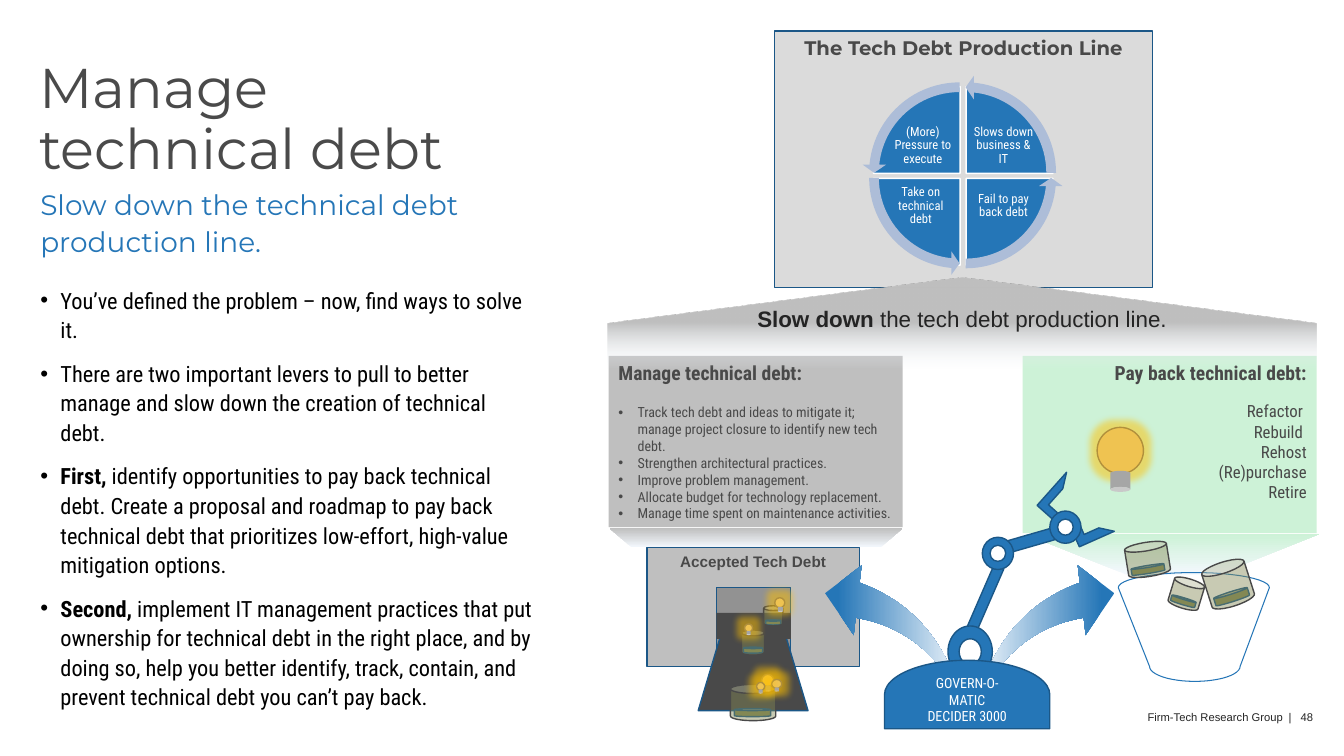
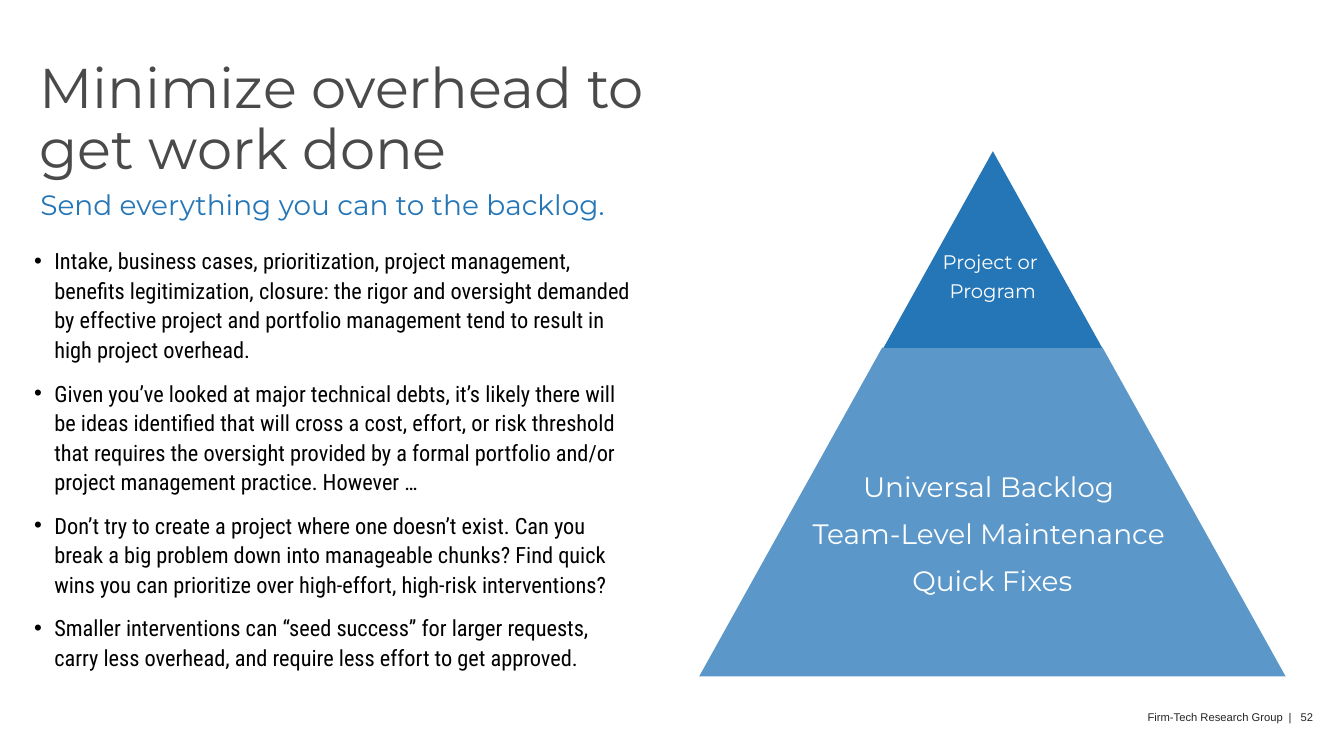
import math

import lxml.etree
import pptx
import pptx.dml.color
import pptx.enum.shapes
import pptx.enum.text
import pptx.oxml.ns
import pptx.util

Inches = pptx.util.Inches
Pt = pptx.util.Pt
qn = pptx.oxml.ns.qn
SHAPE = pptx.enum.shapes.MSO_SHAPE
ALIGN = pptx.enum.text.PP_ALIGN
ANCHOR = pptx.enum.text.MSO_ANCHOR

BLUE, NAVY, WHITE, BLACK = "2576B7", "1B5787", "FFFFFF", "000000"
DARK, TITLE_GREY, INK = "494949", "4A4A4A", "242424"
GREY, PANEL, GREEN, PALE = "BFBFBF", "DBDBDB", "CDF2D7", "F3F8FD"
HEADING, BODY, PLAIN = "Montserrat", "Roboto Condensed", "Arial"


def rgb(value):
    return pptx.dml.color.RGBColor.from_string(value)


def set_alpha(color_element, percent):
    lxml.etree.SubElement(color_element, qn("a:alpha"), val=str(percent * 1000))


def paint(shape, fill=None, line=None, width=1, alpha=None):
    shape.shadow.inherit = False
    if fill:
        shape.fill.solid()
        shape.fill.fore_color.rgb = rgb(fill)
        if alpha is not None:
            set_alpha(shape._element.spPr.find(".//" + qn("a:srgbClr")), alpha)
    else:
        shape.fill.background()
    if line:
        shape.line.color.rgb = rgb(line)
        shape.line.width = Pt(width)
    else:
        shape.line.fill.background()


def add_shape(shapes, kind, box, fill=None, line=None, alpha=None, rotation=0,
              adjustments=(), flip=None):
    shape = shapes.add_shape(kind, *map(Inches, box))
    for index, value in enumerate(adjustments):
        shape.adjustments[index] = value
    paint(shape, fill, line, alpha=alpha)
    shape.rotation = rotation
    if flip:
        shape._element.spPr.get_or_add_xfrm().set(flip, "1")
    return shape


def add_gradient(shape, stops, angle, end_alpha=None):
    shape.fill.gradient()
    shape.fill.gradient_angle = 360 - angle
    for stop, (position, color) in zip(shape.fill.gradient_stops, stops):
        stop.position = position
        stop.color.rgb = rgb(color)
    if end_alpha is not None:
        colors = shape._element.spPr.findall(".//" + qn("a:srgbClr"))
        set_alpha(colors[-1], end_alpha)


def add_glow(shape):
    effects = shape._element.spPr.find(qn("a:effectLst"))
    glow = lxml.etree.SubElement(effects, qn("a:glow"), rad=str(Inches(0.13)))
    color = lxml.etree.SubElement(glow, qn("a:srgbClr"), val="FFC000")
    set_alpha(color, 50)


def set_frame(shape, inset=None, anchor=ANCHOR.TOP, vertical=False):
    frame = shape.text_frame
    frame.word_wrap = True
    frame.auto_size = pptx.enum.text.MSO_AUTO_SIZE.NONE
    frame.vertical_anchor = anchor
    if inset is not None:
        frame.margin_left = frame.margin_right = Inches(inset)
        frame.margin_top = frame.margin_bottom = Inches(inset)
    if vertical:
        shape._element.txBody.bodyPr.set("vert", "vert")
    return frame


def add_bullet(paragraph, indent):
    properties = paragraph._p.get_or_add_pPr()
    properties.set("marL", str(Inches(indent)))
    properties.set("indent", str(-Inches(indent)))
    lxml.etree.SubElement(properties, qn("a:buFont"), typeface="Arial")
    lxml.etree.SubElement(properties, qn("a:buChar"), char="•")


def write(frame, lines, size, font, color, bold=False, align=ALIGN.LEFT,
          before=0, after=0, spacing=1.0, bullet=None, extend=False):
    for index, line in enumerate(lines):
        first = index == 0 and not extend
        paragraph = frame.paragraphs[0] if first else frame.add_paragraph()
        if bullet:
            add_bullet(paragraph, bullet)
        paragraph.alignment = align
        paragraph.line_spacing = spacing
        paragraph.space_before = Pt(0 if first else before)
        paragraph.space_after = Pt(after)
        runs = [(line, bold)] if isinstance(line, str) else line
        for text, strong in runs:
            run = paragraph.add_run()
            run.text = text
            run.font.size = Pt(size)
            run.font.name = font
            run.font.bold = strong
            run.font.color.rgb = rgb(color)


def add_text(shapes, box, lines, size, font, color, inset=0, anchor=ANCHOR.TOP, **style):
    shape = shapes.add_textbox(*map(Inches, box))
    write(set_frame(shape, inset, anchor), lines, size, font, color, **style)
    return shape


def add_footer(slide, number):
    shape = add_text(slide.shapes, (11.39, 7.05, 1.8, 0.13),
                     [f"Firm-Tech Research Group\t|\t{number}"], 8, PLAIN, INK)
    properties = shape.text_frame.paragraphs[0]._p.get_or_add_pPr()
    tabs = lxml.etree.SubElement(properties, qn("a:tabLst"))
    for position in (1.4, 1.52):
        lxml.etree.SubElement(tabs, qn("a:tab"), pos=str(Inches(position)), algn="l")


def start_slide(presentation, title, title_width, subtitle, subtitle_width,
                bullets, bullet_box, number):
    slide = presentation.slides.add_slide(presentation.slide_layouts[5])
    placeholder = slide.shapes.title
    placeholder.left, placeholder.top = Inches(0.39), Inches(0.6)
    placeholder.width, placeholder.height = Inches(title_width), Inches(1.24)
    write(set_frame(placeholder, 0), [title], 40, HEADING, TITLE_GREY, spacing=0.9)
    add_text(slide.shapes, (0.4, 1.83, subtitle_width, 0.73), [subtitle],
             20, HEADING, BLUE, spacing=1.1)
    add_text(slide.shapes, bullet_box, bullets, 16, BODY, BLACK,
             before=10, spacing=1.1, bullet=0.2)
    add_footer(slide, number)
    return slide


def add_group(slide):
    return slide.shapes.add_group_shape().shapes


def add_jar(shapes, liquid, glass, rotation=0):
    add_shape(shapes, SHAPE.CAN, liquid, "838854", NAVY, rotation=rotation)
    add_shape(shapes, SHAPE.CAN, glass, "838854", DARK, alpha=44, rotation=rotation)


def add_lamp(shapes, bulb, base):
    add_glow(add_shape(shapes, SHAPE.OVAL, bulb, "EFC351", "B1903C"))
    add_shape(shapes, SHAPE.CAN, base, "A6A6A6", rotation=180)


def add_joint(shapes, left, top, width, height):
    add_shape(shapes, SHAPE.OVAL, (left, top, width, height), BLUE, NAVY)
    hole = (left + width / 4, top + height / 4, width / 2, height / 2)
    add_shape(shapes, SHAPE.OVAL, hole, WHITE, NAVY)


def add_production_line(slide):
    shapes = add_group(slide)
    panel = add_shape(shapes, SHAPE.RECTANGLE, (7.69, 0.31, 3.75, 2.54), PANEL, NAVY)
    write(set_frame(panel), ["The Tech Debt Production Line"], 14, HEADING, DARK,
          bold=True, align=ALIGN.CENTER)
    quarters = [
        ("Slows down business & IT", (8.73, 0.86), (9.64, 1.21), 162, 0),
        ("Fail to pay back debt", (8.73, 0.91), (9.64, 1.81), 0, 54),
        ("Take on technical debt", (8.67, 0.91), (8.82, 1.81), 54, 108),
        ("(More) Pressure to execute", (8.67, 0.86), (8.84, 1.21), 108, 162),
    ]
    for label, corner, label_corner, start, end in quarters:
        add_shape(shapes, SHAPE.PIE, (*corner, 1.72, 1.72), BLUE, WHITE,
                  adjustments=(start, end))
        add_text(shapes, (*label_corner, 0.64, 0.47), [label], 9, BODY, WHITE,
                 inset=0.01, anchor=ANCHOR.MIDDLE, align=ALIGN.CENTER, spacing=0.9)
    for label, (left, top), label_corner, start, end in quarters:
        add_shape(shapes, SHAPE.LEFT_CIRCULAR_ARROW,
                  (left - 0.11, top - 0.11, 1.93, 1.93), "ADBDD8",
                  adjustments=(0.05, 3.28, start + 3.28, end, 0.06))


def add_pay_back_panel(slide):
    panel = add_shape(slide.shapes, SHAPE.RECTANGLE, (10.15, 3.53, 2.92, 1.76), GREEN)
    frame = set_frame(panel)
    write(frame, ["Pay back technical debt:"], 14, BODY, DARK, bold=True, align=ALIGN.RIGHT)
    options = ["Refactor ", "Rebuild ", "Rehost", "(Re)purchase", "Retire"]
    write(frame, options, 12, BODY, DARK, align=ALIGN.RIGHT, extend=True)
    frame.paragraphs[1].space_before = Pt(12)
    add_lamp(add_group(slide), (10.89, 4.24, 0.46, 0.46), (11.02, 4.67, 0.2, 0.21))


def arc(center_x, center_y, radius_x, radius_y, start, end):
    for step in range(25):
        angle = math.radians(start + (end - start) * step / 24)
        yield (Inches(center_x + radius_x * math.cos(angle)),
               Inches(center_y + radius_y * math.sin(angle)))


def add_bucket(slide):
    outline = [*arc(11.85, 5.83, 0.75, 0.15, 180, 360), *arc(11.86, 6.61, 0.45, 0.15, 0, 180)]
    builder = slide.shapes.build_freeform(*outline[0], scale=1.0)
    builder.add_line_segments(outline[1:], close=True)
    paint(builder.convert_to_shape(), line=BLUE, width=0.75)
    for liquid, glass, rotation in [
        ((11.62, 5.93, 0.25, 0.07), (11.62, 5.74, 0.31, 0.3), 16.9),
        ((12.05, 5.87, 0.35, 0.1), (11.97, 5.57, 0.44, 0.45), 342.3),
        ((11.23, 5.61, 0.33, 0.08), (11.18, 5.38, 0.42, 0.34), 350.8),
    ]:
        add_jar(add_group(slide), liquid, glass, rotation)


def add_manage_panel(slide):
    panel = add_shape(slide.shapes, SHAPE.RECTANGLE, (6.04, 3.53, 2.92, 1.7), GREY)
    frame = set_frame(panel)
    write(frame, ["Manage technical debt:"], 14, BODY, DARK, bold=True)
    write(frame, [
        "Track tech debt and ideas to mitigate it; manage project closure to identify new tech debt.",
        "Strengthen architectural practices.",
        "Improve problem management.",
        "Allocate budget for technology replacement.",
        "Manage time spent on maintenance activities.",
    ], 10, BODY, DARK, bullet=0.19, extend=True)
    frame.paragraphs[1].space_before = Pt(14)


def add_accepted_debt(slide):
    shapes = add_group(slide)
    panel = add_shape(shapes, SHAPE.RECTANGLE, (6.42, 5.43, 2.11, 1.18), GREY, NAVY)
    write(set_frame(panel), ["Accepted Tech Debt"], 10.9, PLAIN, DARK,
          bold=True, align=ALIGN.CENTER)
    add_shape(shapes, SHAPE.RECTANGLE, (7.11, 5.83, 0.74, 0.63), "929292", NAVY)
    add_shape(shapes, SHAPE.FLOWCHART_MANUAL_OPERATION, (6.93, 6.32, 1.09, 0.73),
              DARK, NAVY, rotation=180)
    add_jar(shapes, (7.29, 7.03, 0.36, 0.08), (7.25, 6.79, 0.45, 0.36))
    add_shape(shapes, SHAPE.RECTANGLE, (7.11, 6.08, 0.74, 0.26), DARK)
    add_jar(shapes, (7.6, 6.15, 0.15, 0.05), (7.58, 6.01, 0.19, 0.2))
    add_jar(shapes, (7.38, 6.42, 0.19, 0.06), (7.36, 6.25, 0.23, 0.25))
    for bulb, base in [
        ((7.56, 6.69, 0.12, 0.12), (7.6, 6.8, 0.05, 0.06)),
        ((7.66, 6.74, 0.1, 0.09), (7.69, 6.82, 0.04, 0.04)),
        ((7.51, 6.77, 0.08, 0.08), (7.53, 6.84, 0.04, 0.04)),
        ((7.69, 5.93, 0.1, 0.1), (7.72, 6.02, 0.05, 0.05)),
        ((7.39, 6.19, 0.08, 0.08), (7.41, 6.26, 0.04, 0.04)),
    ]:
        add_lamp(shapes, bulb, base)


def add_decider(slide):
    arrows = add_group(slide)
    for left, flip in ((9.69, None), (8.19, "flipH")):
        arrow = add_shape(arrows, SHAPE.SWOOSH_ARROW, (left, 5.61, 1.37, 1.39),
                          adjustments=(0.25, 0.25), flip=flip)
        add_gradient(arrow, [(0.09, BLUE), (1, PALE)], 180)
    robot = add_group(slide)
    for box, rotation in (((9.71, 5.6, 0.14, 0.67), 20.5), ((10.19, 5.06, 0.16, 0.58), 70)):
        add_shape(robot, SHAPE.PARALLELOGRAM, box, BLUE, NAVY, rotation=rotation)
    add_joint(robot, 9.41, 6.21, 0.44, 0.51)
    add_joint(robot, 9.75, 5.33, 0.31, 0.32)
    add_shape(robot, SHAPE.HALF_FRAME, (10.69, 5.03, 0.28, 0.38), BLUE, NAVY, rotation=246)
    add_shape(robot, SHAPE.HALF_FRAME, (10.41, 4.71, 0.24, 0.44), BLUE, NAVY,
              rotation=41.7, flip="flipV")
    add_joint(robot, 10.42, 5.07, 0.31, 0.32)
    base = add_shape(robot, SHAPE.FLOWCHART_DELAY, (9.26, 6.07, 0.68, 1.64), BLUE, NAVY,
                     rotation=270)
    write(set_frame(base, anchor=ANCHOR.MIDDLE, vertical=True),
          ["GOVERN-O-MATIC", "DECIDER 3000"], 10, BODY, WHITE, align=ALIGN.CENTER)


def add_fading_edge(slide, box, adjustment, color):
    edge = add_shape(slide.shapes, SHAPE.TRAPEZOID, box, rotation=180, adjustments=(adjustment,))
    add_gradient(edge, [(0, PALE), (1, color)], 90)


def add_roof(slide):
    roof = add_shape(slide.shapes, SHAPE.PENTAGON, (9.1, -0.31, 0.9, 7.03), rotation=270)
    add_gradient(roof, [(0.49, GREY), (1, PALE)], 180, end_alpha=0)
    write(set_frame(roof, vertical=True),
          [[("Slow down ", True), ("the tech debt production line.", False)]],
          16, PLAIN, INK, align=ALIGN.CENTER)


def build_debt_slide(presentation):
    slide = start_slide(
        presentation, "Manage technical debt", 4.31,
        "Slow down the technical debt production line.", 4.5, [
            "You’ve defined the problem – now, find ways to solve it.",
            "There are two important levers to pull to better manage and slow down the creation of technical debt.",
            [("First,", True), (" identify opportunities to pay back technical debt. Create a proposal and roadmap to pay back technical debt that prioritizes low-effort, high-value mitigation options.", False)],
            [("Second,", True), (" implement IT management practices that put ownership for technical debt in the right place, and by doing so, help you better identify, track, contain, and prevent technical debt you can’t pay back.", False)],
        ], (0.4, 2.82, 4.92, 4.08), 48)
    add_fading_edge(slide, (10.18, 5.3, 2.91, 0.4), 2.5, GREEN)
    add_production_line(slide)
    add_pay_back_panel(slide)
    add_bucket(slide)
    add_fading_edge(slide, (6.05, 5.24, 2.91, 0.19), 1.16, GREY)
    add_manage_panel(slide)
    add_accepted_debt(slide)
    add_decider(slide)
    add_roof(slide)


def build_overhead_slide(presentation):
    slide = start_slide(
        presentation, "Minimize overhead to get work done", 6.55,
        "Send everything you can to the backlog.", 6.11, [
            "Intake, business cases, prioritization, project management, benefits legitimization, closure: the rigor and oversight demanded by effective project and portfolio management tend to result in high project overhead.",
            "Given you’ve looked at major technical debts, it’s likely there will be ideas identified that will cross a cost, effort, or risk threshold that requires the oversight provided by a formal portfolio and/or project management practice. However …",
            "Don’t try to create a project where one doesn’t exist. Can you break a big problem down into manageable chunks? Find quick wins you can prioritize over high-effort, high-risk interventions?",
            "Smaller interventions can “seed success” for larger requests, carry less overhead, and require less effort to get approved.",
        ], (0.34, 2.43, 5.94, 3.93), 52)
    pyramid = add_group(slide)
    for box, alpha, text_box, lines, size, after in [
        ((8.77, 1.5, 2.17, 1.95), None, (8.77, 2.06, 2.17, 1.39),
         ["Project or ", "Program"], 14, 5),
        ((6.94, 3.45, 5.82, 3.26), 75, (7.96, 3.92, 3.78, 2.79),
         ["Universal Backlog ", "Team-Level Maintenance ", "Quick Fixes"], 20, 12),
    ]:
        add_shape(pyramid, SHAPE.TRAPEZOID, box, BLUE, alpha=alpha, adjustments=(0.557,))
        add_text(pyramid, text_box, lines, size, HEADING, WHITE, inset=0.03,
                 anchor=ANCHOR.MIDDLE, align=ALIGN.CENTER, after=after, spacing=0.9)


def main():
    presentation = pptx.Presentation()
    presentation.slide_width = Inches(13.34)
    presentation.slide_height = Inches(7.5)
    build_debt_slide(presentation)
    build_overhead_slide(presentation)
    presentation.save("out.pptx")


if __name__ == "__main__":
    main()
